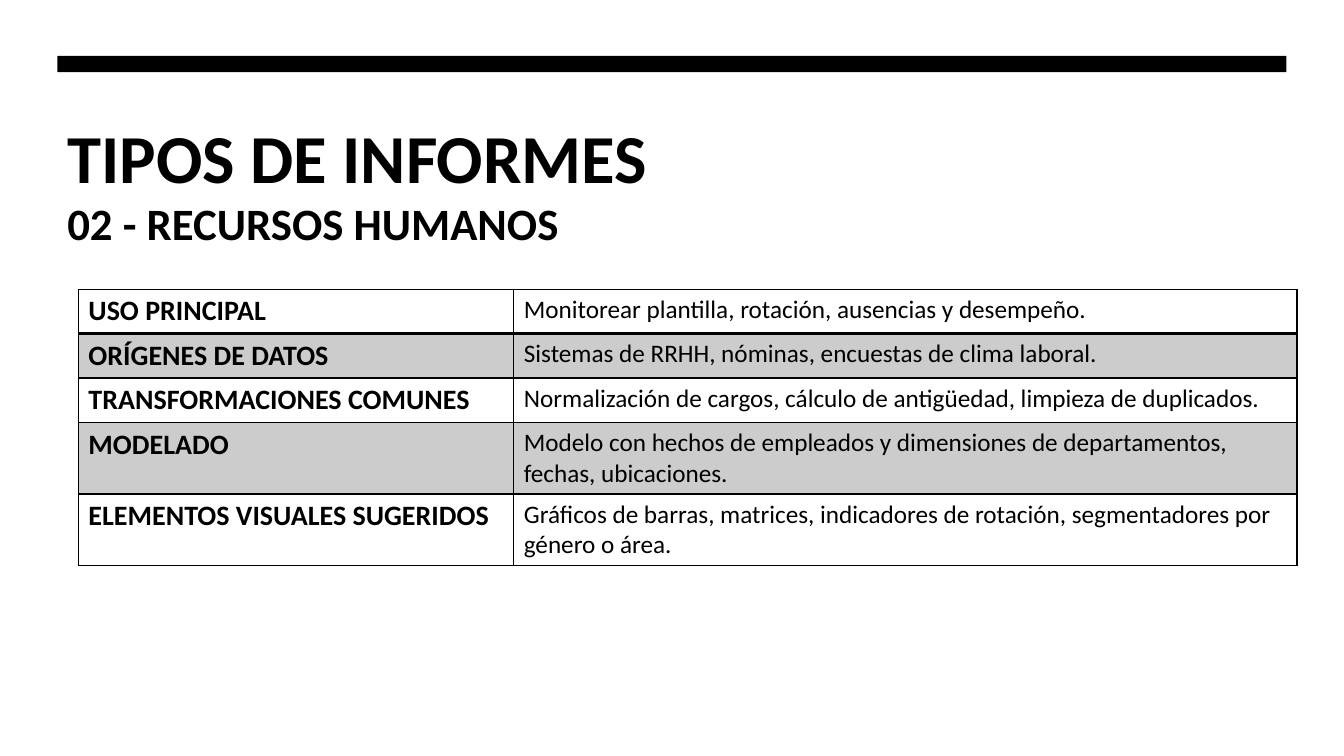
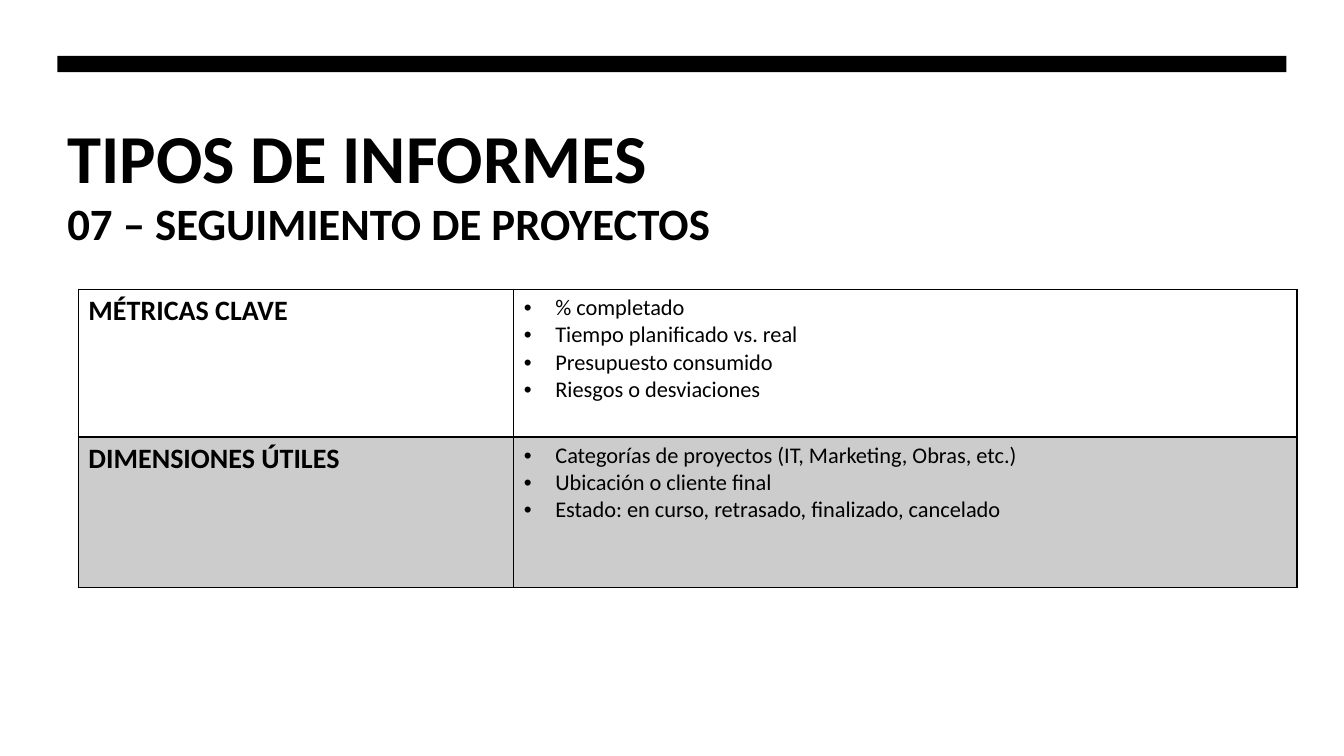
import pptx
import pptx.util
import pptx.dml.color
import pptx.enum.shapes
import pptx.enum.text
import pptx.oxml
import pptx.oxml.ns
from lxml import etree

Pt = pptx.util.Pt
BLACK, WHITE, GRAY = "000000", "FFFFFF", "CCCCCC"
FONT = "Calibri"
LEFT, CONTENT_WIDTH = 41, 878
TABLE_LEFT, TABLE_TOP = 56, 206.6
COLUMN_WIDTHS = (311, 559.5)
BULLET_INDENT = 22.5


def color(value):
    return pptx.dml.color.RGBColor.from_string(value)


def write(text_frame, lines, size, bold, bulleted=False):
    text_frame.text = "\n".join(lines)
    for paragraph in text_frame.paragraphs:
        paragraph.alignment = pptx.enum.text.PP_ALIGN.LEFT
        if bulleted:
            properties = paragraph._p.get_or_add_pPr()
            properties.set("marL", str(Pt(BULLET_INDENT)))
            properties.set("indent", str(-Pt(BULLET_INDENT)))
            for tag, name, value in (("a:buFont", "typeface", "Arial"), ("a:buChar", "char", "•")):
                etree.SubElement(properties, pptx.oxml.ns.qn(tag)).set(name, value)
        paragraph.font.name = FONT
        paragraph.font.size = Pt(size)
        paragraph.font.bold = bold
        paragraph.font.color.rgb = color(BLACK)


# Each slide: subtitle, body text size, bullets, rows of (label, lines, height)
slides = [
    ("02 - RECURSOS HUMANOS", 18, False, [
        ("USO PRINCIPAL", ["Monitorear plantilla, rotación, ausencias y desempeño."], 31.2),
        ("ORÍGENES DE DATOS", ["Sistemas de RRHH, nóminas, encuestas de clima laboral."], 31.2),
        ("TRANSFORMACIONES COMUNES",
         ["Normalización de cargos, cálculo de antigüedad, limpieza de duplicados."], 31.2),
        ("MODELADO",
         ["Modelo con hechos de empleados y dimensiones de departamentos, fechas, ubicaciones."], 50.6),
        ("ELEMENTOS VISUALES SUGERIDOS",
         ["Gráficos de barras, matrices, indicadores de rotación, segmentadores por género o área."], 50.6),
    ]),
    ("07 – SEGUIMIENTO DE PROYECTOS", 16, True, [
        ("MÉTRICAS CLAVE",
         ["% completado", "Tiempo planificado vs. real", "Presupuesto consumido",
          "Riesgos o desviaciones"], 105.4),
        ("DIMENSIONES ÚTILES",
         ["Categorías de proyectos (IT, Marketing, Obras, etc.)", "Ubicación o cliente final",
          "Estado: en curso, retrasado, finalizado, cancelado"], 107.8),
    ]),
]

presentation = pptx.Presentation()
presentation.slide_width = Pt(960)
presentation.slide_height = Pt(540)

for subtitle, body_size, bulleted, rows in slides:
    slide = presentation.slides.add_slide(presentation.slide_layouts[5])

    # Top band
    band = slide.shapes.add_shape(pptx.enum.shapes.MSO_SHAPE.RECTANGLE,
                                  Pt(LEFT), Pt(40), Pt(CONTENT_WIDTH), Pt(11.5))
    band.shadow.inherit = False
    band.fill.solid()
    band.fill.fore_color.rgb = color(BLACK)
    band.line.fill.background()

    # Title and subtitle
    title = slide.shapes.title
    title.left, title.top, title.width, title.height = Pt(LEFT), Pt(77), Pt(CONTENT_WIDTH), Pt(59)
    subtitle_box = slide.shapes.add_textbox(Pt(LEFT), Pt(134.6), Pt(CONTENT_WIDTH), Pt(48))
    for shape, text, size in ((title, "TIPOS DE INFORMES", 49), (subtitle_box, subtitle, 32)):
        text_frame = shape.text_frame
        text_frame.word_wrap = True
        text_frame.auto_size = pptx.enum.text.MSO_AUTO_SIZE.NONE
        text_frame.vertical_anchor = pptx.enum.text.MSO_ANCHOR.TOP
        text_frame.margin_top = Pt(5)
        write(text_frame, [text], size, True)

    # Table with alternating rows
    table = slide.shapes.add_table(len(rows), 2, Pt(TABLE_LEFT), Pt(TABLE_TOP),
                                   Pt(sum(COLUMN_WIDTHS)), Pt(sum(row[2] for row in rows))).table
    table.first_row = table.horz_banding = False
    for column, width in zip(table.columns, COLUMN_WIDTHS):
        column.width = Pt(width)
    for row_index, (label, lines, height) in enumerate(rows):
        table.rows[row_index].height = Pt(height)
        label_cell, body_cell = table.rows[row_index].cells
        write(label_cell.text_frame, [label], 20, True)
        write(body_cell.text_frame, lines, body_size, False, bulleted)

        # Borders: the line under the first row is thicker
        top_width = 2 if row_index == 1 else 1
        bottom_width = 2 if row_index == 0 else 1
        for cell in (label_cell, body_cell):
            properties = cell._tc.get_or_add_tcPr()
            for side, width in (("L", 1), ("R", 1), ("T", top_width), ("B", bottom_width)):
                properties.append(pptx.oxml.parse_xml(
                    f'<a:ln{side} {pptx.oxml.ns.nsdecls("a")} w="{Pt(width)}"><a:solidFill>'
                    f'<a:srgbClr val="{BLACK}"/></a:solidFill></a:ln{side}>'))
            cell.fill.solid()
            cell.fill.fore_color.rgb = color(GRAY if row_index % 2 else WHITE)

presentation.save("out.pptx")
